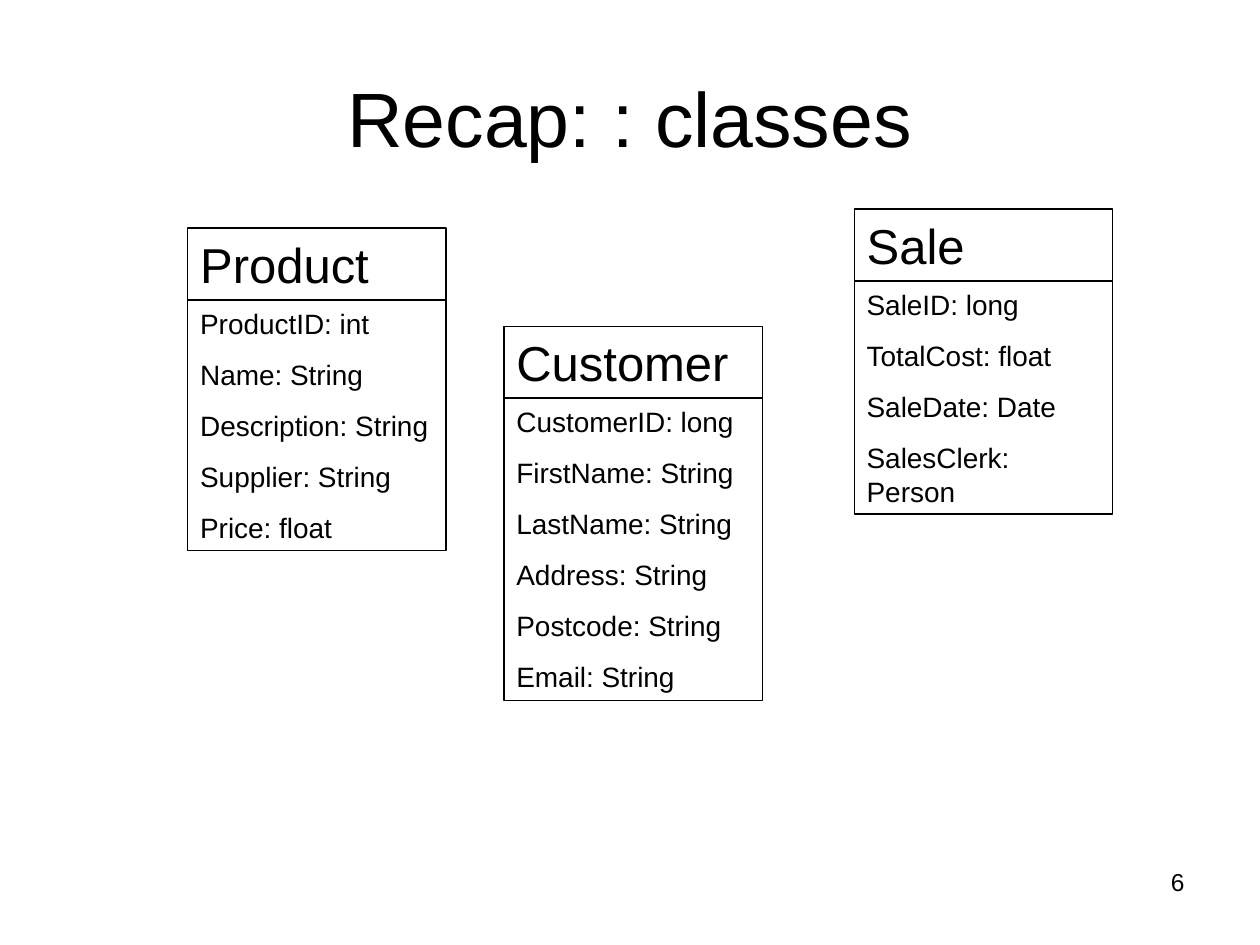
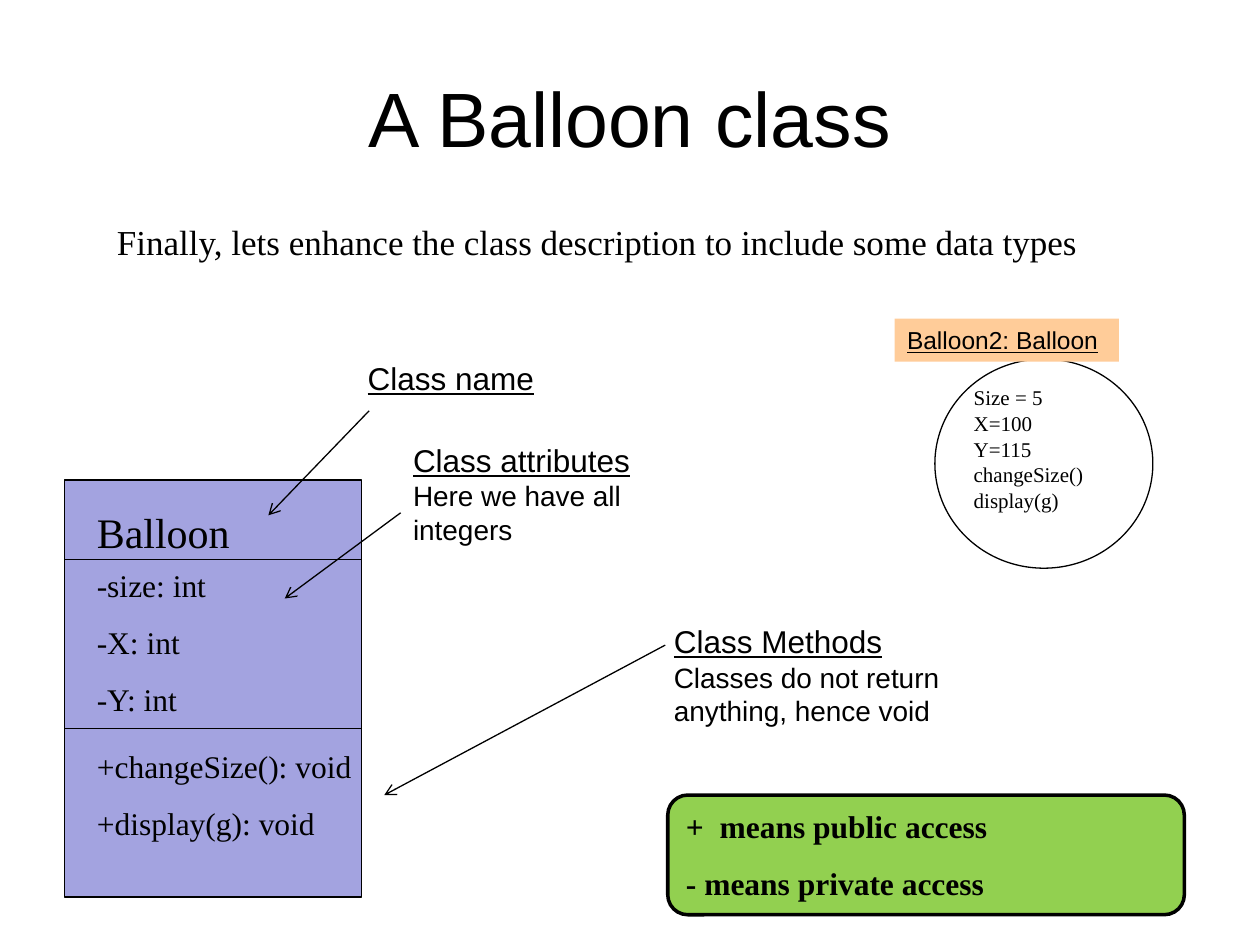
from dataclasses import dataclass
from typing import Optional

import lxml.etree
import pptx
import pptx.dml.color
import pptx.enum.shapes
import pptx.enum.text
import pptx.oxml.ns
import pptx.util

EMU_PER_PX = 9144  # 100 px to the inch
TITLE_ONLY_LAYOUT = 5
SHAPES = pptx.enum.shapes.MSO_SHAPE
ALIGN = pptx.enum.text.PP_ALIGN


@dataclass(frozen=True)
class Theme:
    sans: str = "Arial"
    serif: str = "Times New Roman"
    ink: str = "000000"
    paper: str = "FFFFFF"
    lavender: str = "A3A3E0"
    peach: str = "FFCC99"
    green: str = "92D050"
    title: float = 44
    class_name: float = 28
    balloon_name: float = 24
    intro: float = 20
    label: float = 18
    attribute: float = 16
    small: float = 14
    state: float = 12
    thin: float = 0.75
    thick: float = 2


THEME = Theme()


@dataclass(frozen=True)
class Box:
    left: int
    top: int
    width: int
    height: int


@dataclass(frozen=True)
class Style:
    size: float
    font: str = THEME.sans
    bold: bool = False
    underline: bool = False
    before: float = 0
    line_spacing: Optional[float] = None
    align: ALIGN = ALIGN.LEFT


@dataclass(frozen=True)
class Line:
    text: str
    style: Style


@dataclass(frozen=True)
class ClassCard:
    name: str
    left: int
    top: int
    body_height: int
    attributes: tuple[str, ...]


@dataclass(frozen=True)
class Callout:
    box: Box
    heading: str
    detail: str
    arrow: tuple[int, int, int, int]


TITLE = Style(THEME.title, align=ALIGN.CENTER)
NUMBER = Style(THEME.small, align=ALIGN.RIGHT)
CLASS_NAME = Style(THEME.class_name, before=17.5)
ATTRIBUTE = Style(THEME.attribute, before=10)
INTRO = Style(THEME.intro, THEME.serif, before=12.5)
BALLOON_NAME = Style(THEME.balloon_name, THEME.serif, before=15)
MEMBER = Style(THEME.label, THEME.serif, before=11.2)
ACCESS = Style(THEME.label, THEME.serif, bold=True, before=11.2)
STATE = Style(THEME.state, THEME.serif, before=7.5, line_spacing=0.5)
HEADING = Style(THEME.label, underline=True)
DETAIL = Style(THEME.attribute)
INSTANCE = Style(THEME.small, underline=True)

CARD_WIDTH, CARD_HEADER = 205, 57
CARDS = (
    ClassCard("Product", 149, 181, 199, (
        "ProductID: int", "Name: String", "Description: String",
        "Supplier: String", "Price: float")),
    ClassCard("Customer", 400, 259, 240, (
        "CustomerID: long", "FirstName: String", "LastName: String",
        "Address: String", "Postcode: String", "Email: String")),
    ClassCard("Sale", 678, 166, 185, (
        "SaleID: long", "TotalCost: float", "SaleDate: Date",
        "SalesClerk: Person")),
)

BALLOON = Box(51, 381, 236, 331)
BALLOON_DIVIDERS = (578, 444)
BALLOON_SECTIONS = (
    (Box(67, 588, 238, 86), ("+changeSize(): void", "+display(g): void"), MEMBER),
    (Box(67, 397, 220, 50), ("Balloon",), BALLOON_NAME),
    (Box(67, 444, 220, 132), ("-size: int", "-X: int", "-Y: int"), MEMBER),
)
CALLOUTS = (
    Callout(Box(282, 280, 250, 40), "Class name", "", (293, 326, 213, 409)),
    Callout(Box(318, 345, 250, 120), "Class attributes",
            "Here we have all integers", (318, 407, 226, 475)),
    Callout(Box(525, 489, 250, 94), "Class Methods",
            "Classes do not return anything, hence void", (528, 512, 305, 631)),
)


def px(length: int) -> pptx.util.Emu:
    return pptx.util.Emu(length * EMU_PER_PX)


def place(box: Box) -> tuple[pptx.util.Emu, ...]:
    return px(box.left), px(box.top), px(box.width), px(box.height)


def color(value: str) -> pptx.dml.color.RGBColor:
    return pptx.dml.color.RGBColor.from_string(value)


def styled(texts: tuple[str, ...], style: Style) -> list[Line]:
    return [Line(text, style) for text in texts]


def write(shape, lines: list[Line], grow: bool = True, middle: bool = False) -> None:
    frame = shape.text_frame
    frame.word_wrap = True
    sizing = pptx.enum.text.MSO_AUTO_SIZE
    frame.auto_size = sizing.SHAPE_TO_FIT_TEXT if grow else sizing.NONE
    anchor = pptx.enum.text.MSO_ANCHOR
    frame.vertical_anchor = anchor.MIDDLE if middle else anchor.TOP
    for index, line in enumerate(lines):
        paragraph = frame.add_paragraph() if index else frame.paragraphs[0]
        style = line.style
        paragraph.alignment = style.align
        paragraph.space_before = pptx.util.Pt(style.before)
        if style.line_spacing:
            paragraph.line_spacing = style.line_spacing
        run = paragraph.add_run()
        run.text = line.text
        run.font.name = style.font
        run.font.size = pptx.util.Pt(style.size)
        run.font.bold = style.bold
        run.font.underline = style.underline
        run.font.color.rgb = color(THEME.ink)


def add_text(slide, box: Box, lines: list[Line], grow: bool = True) -> None:
    write(slide.shapes.add_textbox(*place(box)), lines, grow)


def add_block(slide, kind: SHAPES, box: Box, fill: Optional[str] = None,
              line_width: float = THEME.thin, lines: Optional[list[Line]] = None) -> None:
    shape = slide.shapes.add_shape(kind, *place(box))
    shape.shadow.inherit = False
    if fill:
        shape.fill.solid()
        shape.fill.fore_color.rgb = color(fill)
    else:
        shape.fill.background()
    if line_width:
        shape.line.color.rgb = color(THEME.ink)
        shape.line.width = pptx.util.Pt(line_width)
    else:
        shape.line.fill.background()
    if lines:
        write(shape, lines)


def add_line(slide, ends: tuple[int, int, int, int], arrow: bool = False) -> None:
    connector = slide.shapes.add_connector(
        pptx.enum.shapes.MSO_CONNECTOR.STRAIGHT, *map(px, ends))
    connector.line.color.rgb = color(THEME.ink)
    connector.line.width = pptx.util.Pt(THEME.thin)
    qualified = pptx.oxml.ns.qn
    if arrow:
        outline = connector.line._get_or_add_ln()
        lxml.etree.SubElement(outline, qualified("a:tailEnd"), type="arrow")
    lxml.etree.SubElement(connector._element.spPr, qualified("a:effectLst"))


def add_slide(presentation, title: str):
    """Start a slide with the shared title."""
    slide = presentation.slides.add_slide(presentation.slide_layouts[TITLE_ONLY_LAYOUT])
    heading = slide.shapes.title
    heading.left, heading.top, heading.width, heading.height = place(Box(50, 30, 900, 125))
    write(heading, [Line(title, TITLE)], grow=False, middle=True)
    return slide


def add_card(slide, card: ClassCard) -> None:
    header = Box(card.left, card.top, CARD_WIDTH, CARD_HEADER)
    body = Box(card.left, card.top + CARD_HEADER, CARD_WIDTH, card.body_height)
    add_block(slide, SHAPES.RECTANGLE, header, THEME.paper,
              lines=[Line(card.name, CLASS_NAME)])
    add_block(slide, SHAPES.RECTANGLE, body, THEME.paper,
              lines=styled(card.attributes, ATTRIBUTE))


def add_callout(slide, callout: Callout) -> None:
    lines = [Line(callout.heading, HEADING)]
    if callout.detail:
        lines.append(Line(callout.detail, DETAIL))
    add_text(slide, callout.box, lines)
    add_line(slide, callout.arrow, arrow=True)


def build_recap(presentation) -> None:
    slide = add_slide(presentation, "Recap: : classes")
    for card in CARDS:
        add_card(slide, card)

    # Page number
    add_text(slide, Box(717, 683, 233, 52), [Line("6", NUMBER)], grow=False)


def build_balloon(presentation) -> None:
    slide = add_slide(presentation, "A Balloon class")
    add_text(slide, Box(83, 170, 835, 44), [Line(
        "Finally, lets enhance the class description to include some data types", INTRO)])

    # Class diagram
    add_block(slide, SHAPES.RECTANGLE, BALLOON, THEME.lavender)
    for box, texts, style in BALLOON_SECTIONS:
        add_text(slide, box, styled(texts, style))
    for y in BALLOON_DIVIDERS:
        add_line(slide, (BALLOON.left, y, BALLOON.left + BALLOON.width, y))
    for callout in CALLOUTS:
        add_callout(slide, callout)

    # Balloon instance
    add_block(slide, SHAPES.OVAL, Box(742, 285, 173, 166))
    add_text(slide, Box(763, 309, 134, 102), styled(
        ("Size = 5", "X=100", "Y=115", "changeSize()", "display(g)"), STATE))
    add_block(slide, SHAPES.RECTANGLE, Box(710, 253, 178, 34), THEME.peach, 0,
              [Line("Balloon2: Balloon", INSTANCE)])

    # Access key
    add_block(slide, SHAPES.ROUNDED_RECTANGLE, Box(530, 631, 410, 95), THEME.green,
              THEME.thick, styled(("+  means public access", "- means private access"), ACCESS))


def main() -> None:
    presentation = pptx.Presentation()
    presentation.slide_width, presentation.slide_height = px(1000), px(750)
    build_recap(presentation)
    build_balloon(presentation)
    presentation.save("out.pptx")


if __name__ == "__main__":
    main()
